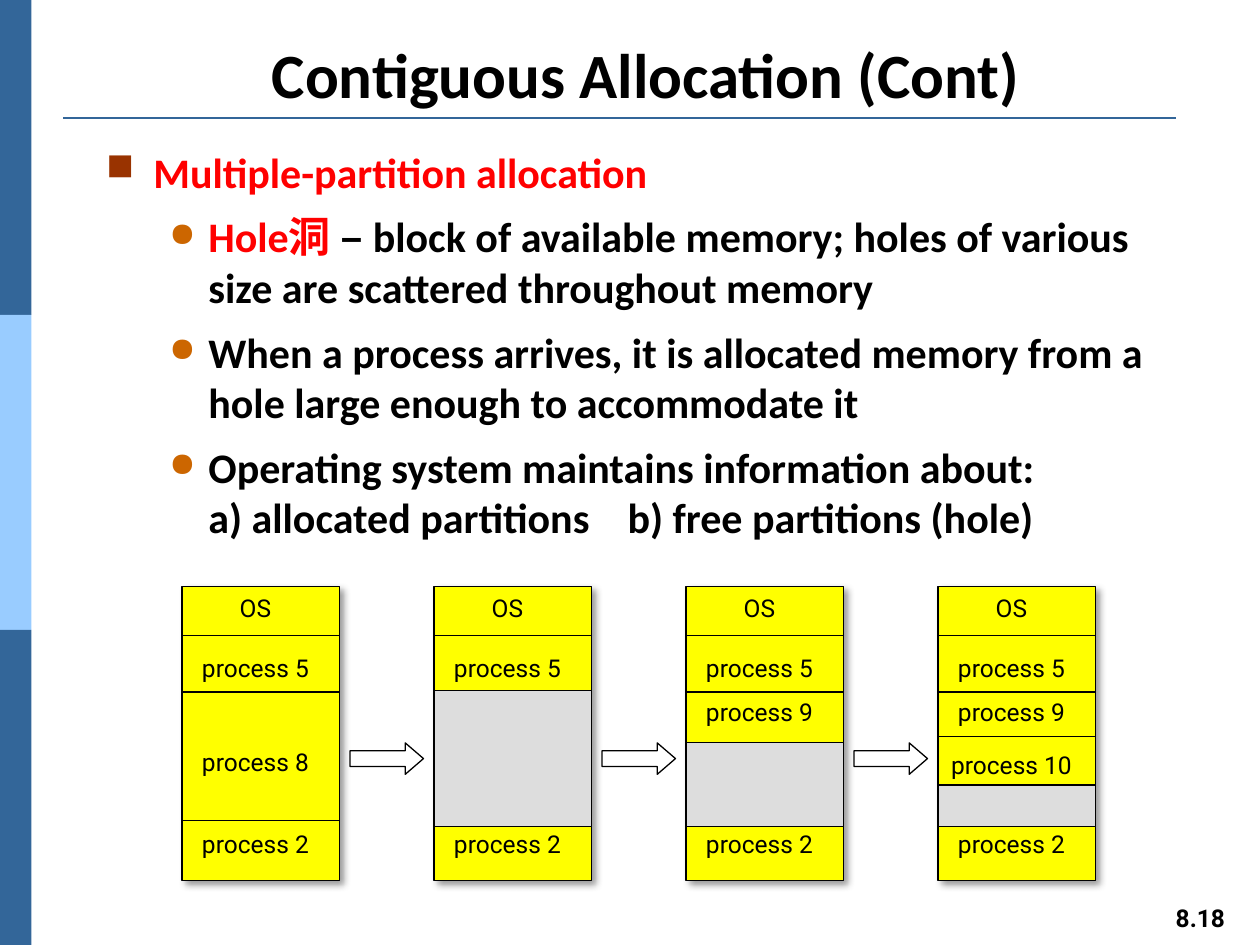
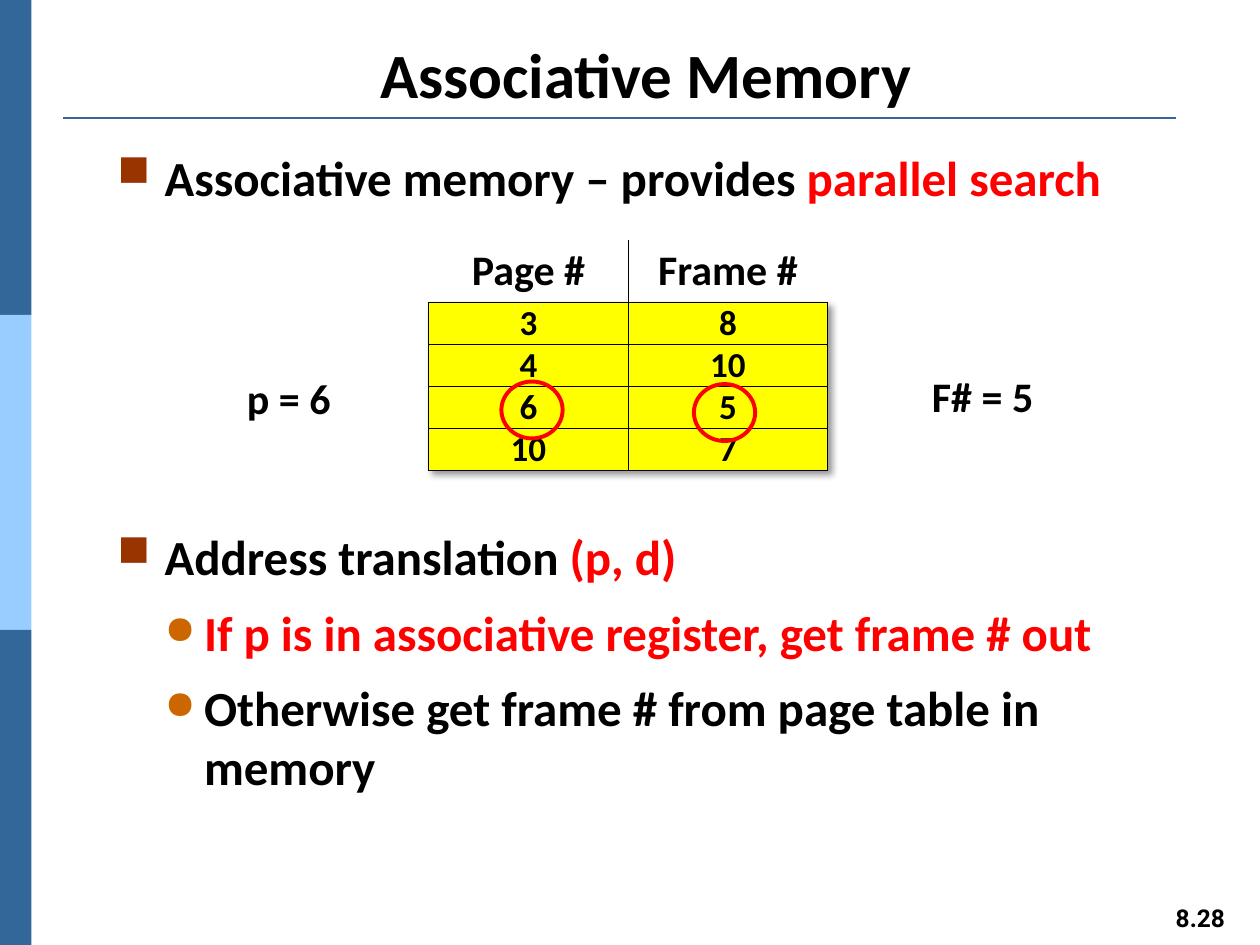
"""Build two slides on contiguous allocation and associative memory."""
from lxml import etree
from pptx import Presentation
from pptx.dml.color import RGBColor
from pptx.enum.shapes import MSO_CONNECTOR, MSO_SHAPE
from pptx.enum.text import MSO_ANCHOR, PP_ALIGN
from pptx.oxml.ns import qn
from pptx.util import Pt

RECTANGLE = MSO_SHAPE.RECTANGLE
ELLIPSE = MSO_SHAPE.OVAL
RIGHT_ARROW = MSO_SHAPE.RIGHT_ARROW
STRAIGHT = MSO_CONNECTOR.STRAIGHT
TOP, MIDDLE, BOTTOM = MSO_ANCHOR.TOP, MSO_ANCHOR.MIDDLE, MSO_ANCHOR.BOTTOM
LEFT, CENTER = PP_ALIGN.LEFT, PP_ALIGN.CENTER

BLACK, WHITE, RED = "000000", "FFFFFF", "FF0000"
NAVY, SKY = "336699", "99CCFF"
YELLOW, GREY = "FFFF00", "DDDDDD"
HEADING_FONT, LABEL_FONT = "Calibri", "Roboto"
BULLETS = [("■", "993300", 90000, 27), ("●", "CC6600", 80000, 22.5)]
color = RGBColor.from_string


def add_text(page, bounds, paragraphs, size, font=HEADING_FONT, bold=True,
             align=LEFT, anchor=TOP, indents=None, tab=None):
    """Write paragraphs, each a level and its (text, colour) runs."""
    box = page.shapes.add_textbox(*map(Pt, bounds))
    frame = box.text_frame
    frame.word_wrap = True
    frame.vertical_anchor = anchor
    for index, (level, runs) in enumerate(paragraphs):
        para = frame.paragraphs[0] if index == 0 else frame.add_paragraph()
        para.alignment = align
        if indents:
            symbol, tint, scale, hanging = BULLETS[level]
            properties = para._p.get_or_add_pPr()
            properties.set("marL", str(Pt(indents[level])))
            properties.set("indent", str(-Pt(hanging)))
            bullet_color = etree.SubElement(properties, qn("a:buClr"))
            etree.SubElement(bullet_color, qn("a:srgbClr"), val=tint)
            etree.SubElement(properties, qn("a:buSzPct"), val=str(scale))
            etree.SubElement(properties, qn("a:buChar"), char=symbol)
            if any("\t" in text for text, _ in runs):
                stops = etree.SubElement(properties, qn("a:tabLst"))
                etree.SubElement(stops, qn("a:tab"), pos=str(Pt(tab)), algn="l")
            if index:
                para.space_before = Pt(round(size * 0.34, 1))
        for text, tint in runs:
            if text == "\n":
                para.add_line_break()
                continue
            span = para.add_run()
            span.text = text
            span.font.name = font
            span.font.size = Pt(size)
            span.font.bold = bold
            span.font.color.rgb = color(tint)


def add_block(page, kind, bounds, fill=None, line=None, weight=0.75, shadow=False):
    """Draw a preset shape, with a soft shadow if asked."""
    shape = page.shapes.add_shape(kind, *map(Pt, bounds))
    shape.shadow.inherit = False
    if fill:
        shape.fill.solid()
        shape.fill.fore_color.rgb = color(fill)
    else:
        shape.fill.background()
    if line:
        shape.line.color.rgb = color(line)
        shape.line.width = Pt(weight)
    else:
        shape.line.fill.background()
    if shadow:
        effects = shape._element.spPr.find(qn("a:effectLst"))
        outer = etree.SubElement(effects, qn("a:outerShdw"), blurRad=str(Pt(4)),
                                 dist=str(Pt(3)), dir="2700000", algn="ctr", rotWithShape="0")
        tint = etree.SubElement(outer, qn("a:srgbClr"), val=BLACK)
        etree.SubElement(tint, qn("a:alpha"), val="40000")
    return shape


deck = Presentation()
deck.slide_width = Pt(720)
deck.slide_height = Pt(540)
rules = []
pages = []

for title, number in [("Contiguous Allocation (Cont)", "8.18"), ("Associative Memory", "8.28")]:
    page = deck.slides.add_slide(deck.slide_layouts[6])
    pages.append(page)
    for row, tint in enumerate([NAVY, SKY, NAVY]):
        add_block(page, RECTANGLE, (0, row * 180, 18, 180), tint)
    rules.append((page, (36, 67.5, 672, 67.5), NAVY, 1.5))
    add_text(page, (45, 21.5, 648, 45.5), [(0, [(title, BLACK)])], 36,
             align=CENTER, anchor=BOTTOM)
    add_text(page, (660, 512.5, 52, 24.5), [(0, [(number, BLACK)])], 14,
             LABEL_FONT, align=CENTER)

allocation, associative = pages

add_text(allocation, (53.5, 80, 627, 205), [
    (0, [("Multiple-partition allocation", RED)]),
    (1, [("Hole洞", RED),
         (" – block of available memory; holes of various size are scattered "
          "throughout memory", BLACK)]),
    (1, [("When a process arrives, it is allocated memory from a hole large enough "
          "to accommodate it", BLACK)]),
    (1, [("Operating system maintains information about:", BLACK), ("\n", BLACK),
         ("a) allocated partitions\tb) free partitions (hole)", BLACK)]),
], 24, indents=(27, 58.5), tab=298)

memory_top, memory_width, memory_height, memory_pitch = 335, 90, 168, 144
hole_bottom = 472.5
label_tops = {"OS": 335, "process 5": 369.5, "process 9": 394.5,
              "process 8": 423.5, "process 10": 425, "process 2": 470}
memory_states = [
    (["OS", "process 5", "process 8", "process 2"], [363, 395.5, 469], None),
    (["OS", "process 5", "process 2"], [363], 394.5),
    (["OS", "process 5", "process 9", "process 2"], [363, 395.5], 424.5),
    (["OS", "process 5", "process 9", "process 10", "process 2"], [363, 395.5, 421], 448.5),
]
for column, (labels, dividers, hole_top) in enumerate(memory_states):
    left = 104 + column * memory_pitch
    right = left + memory_width
    add_block(allocation, RECTANGLE, (left, memory_top, memory_width, memory_height),
              YELLOW, BLACK, shadow=True)
    if hole_top:
        add_block(allocation, RECTANGLE,
                  (left, hole_top, memory_width, hole_bottom - hole_top), GREY, BLACK)
    for height in dividers:
        rules.append((allocation, (left, height, right, height), BLACK, 0.75))
    for label in labels:
        add_text(allocation, (left, label_tops[label], 84, 24), [(0, [(label, BLACK)])],
                 14, LABEL_FONT, False, CENTER, MIDDLE)
    if column < len(memory_states) - 1:
        arrow = add_block(allocation, RIGHT_ARROW, (right + 6, 424.5, 42, 18), WHITE, BLACK)
        arrow.adjustments[0] = 0.5
        arrow.adjustments[1] = 0.58

add_text(associative, (60, 80.5, 633, 42), [
    (0, [("Associative memory – provides ", BLACK), ("parallel search", RED)]),
], 28, indents=(27, 49.5))
add_text(associative, (60, 297.5, 633, 165), [
    (0, [("Address translation ", BLACK), ("(p, d)", RED)]),
    (1, [("If p is in associative register, get frame # out", RED)]),
    (1, [("Otherwise get frame # from page table in memory", BLACK)]),
], 28, indents=(27, 49.5))

table_left, table_top, header_height, row_height, column_width = 245, 137, 36, 24, 114
register_rows = [("Page #", "Frame #"), ("3", "8"), ("4", "10"), ("6", "5"), ("10", "7")]
body_height = row_height * (len(register_rows) - 1)
add_block(associative, RECTANGLE,
          (table_left, table_top + header_height, 2 * column_width, body_height),
          YELLOW, BLACK, shadow=True)
table = associative.shapes.add_table(
    len(register_rows), 2, Pt(table_left), Pt(table_top),
    Pt(2 * column_width), Pt(header_height + body_height)).table
table.first_row = False
table.horz_banding = False
for column in table.columns:
    column.width = Pt(column_width)
for row, values in enumerate(register_rows):
    table.rows[row].height = Pt(row_height if row else header_height)
    for column, value in enumerate(values):
        cell = table.cell(row, column)
        cell.margin_left = cell.margin_right = cell.margin_top = cell.margin_bottom = 0
        cell.vertical_anchor = MIDDLE
        para = cell.text_frame.paragraphs[0]
        para.alignment = CENTER
        para.line_spacing = 0.9
        span = para.add_run()
        span.text = value
        span.font.name = HEADING_FONT
        span.font.size = Pt(20 if row else 24)
        span.font.bold = True
        span.font.color.rgb = color(BLACK)
        if row:
            cell.fill.solid()
            cell.fill.fore_color.rgb = color(YELLOW)
        else:
            cell.fill.background()
        inner_side = "R" if column == 0 else "L"
        for position, side in enumerate("LRTB"):
            border = etree.Element(qn("a:ln" + side), w=str(Pt(0.75)))
            if row or side in (inner_side, "B"):
                paint = etree.SubElement(border, qn("a:solidFill"))
                etree.SubElement(paint, qn("a:srgbClr"), val=BLACK)
            else:
                etree.SubElement(border, qn("a:noFill"))
            cell._tc.get_or_add_tcPr().insert(position, border)

for left, top, text in [(134, 209.5, "p = 6"), (525.5, 208, "F# = 5")]:
    add_text(associative, (left, top, 78, 36), [(0, [(text, BLACK)])], 24)
for left, top in [(286.5, 218), (396.5, 219.5)]:
    add_block(associative, ELLIPSE, (left, top, 35, 32.5), line=RED, weight=2.25)

for page, ends, tint, weight in rules:
    rule = page.shapes.add_connector(STRAIGHT, *map(Pt, ends))
    rule.line.color.rgb = color(tint)
    rule.line.width = Pt(weight)
    etree.SubElement(rule._element.spPr, qn("a:effectLst"))

deck.save("out.pptx")
